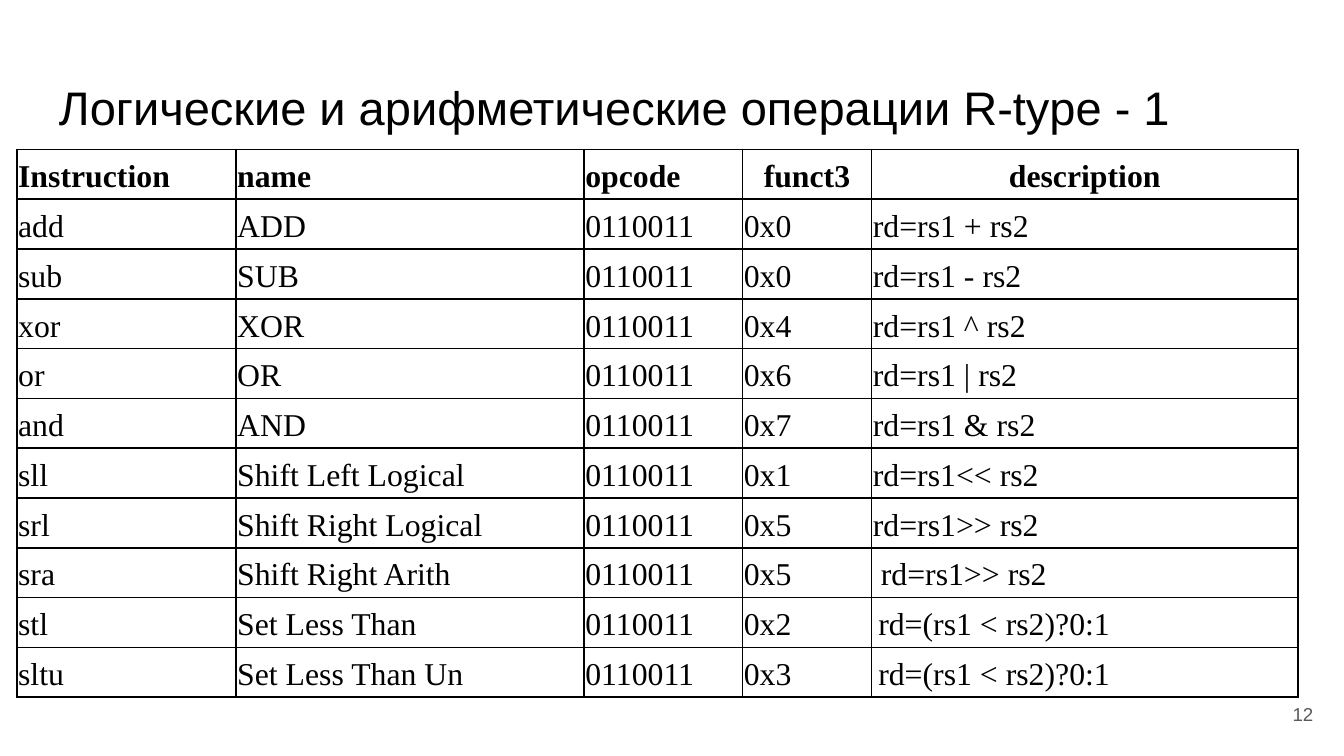
"""Build the slide listing R-type logical and arithmetic operations."""
from lxml import etree
from pptx import Presentation
from pptx import util as u
from pptx.dml.color import RGBColor
from pptx.enum import text
from pptx.oxml import parse_xml

THEME = {
    "ink": "000000", "grey": "595959",
    "sans": "Arial", "serif": "Times New Roman",
    "title": 25.2, "body": 17, "page": 10,
}
NS = "http://schemas.openxmlformats.org/drawingml/2006/main"
ALIGN = text.PP_ALIGN

deck = Presentation()
deck.slide_width = u.Inches(10)
deck.slide_height = deck.slide_width * 9 // 16
COL, ROW = deck.slide_width / 100, deck.slide_height / 100
slide = deck.slides.add_slide(deck.slide_layouts[6])


def style(para, face, size, ink, align, bold=False):
    para.alignment = align
    font = para.font
    font.name, font.size, font.bold = THEME[face], u.Pt(THEME[size]), bold
    font.color.rgb = RGBColor.from_string(THEME[ink])


def label(words, box, size, ink, align, anchor):
    x, y, w, h = box
    frame = slide.shapes.add_textbox(
        int(x * COL), int(y * ROW), int(w * COL), int(h * ROW)).text_frame
    frame.word_wrap = True
    frame.vertical_anchor = anchor
    frame.margin_left = frame.margin_right = u.Inches(0.1)
    frame.margin_top = frame.margin_bottom = u.Inches(0.1)
    frame.text = words
    style(frame.paragraphs[0], "sans", size, ink, align)


label("Логические и арифметические операции R-type - 1",
      (3.4, 8.65, 93.2, 11.2), "title", "ink", ALIGN.LEFT, text.MSO_ANCHOR.TOP)
label("12", (92.7, 90.67, 6, 7.65), "page", "grey", ALIGN.RIGHT,
      text.MSO_ANCHOR.MIDDLE)

HEAD = ("Instruction", "name", "opcode", "funct3", "description")
OPCODE = "0110011"
OPS = [
    ("add", "ADD", "0x0", "rd=rs1 + rs2"),
    ("sub", "SUB", "0x0", "rd=rs1 - rs2"),
    ("xor", "XOR", "0x4", "rd=rs1 ^ rs2"),
    ("or", "OR", "0x6", "rd=rs1 | rs2"),
    ("and", "AND", "0x7", "rd=rs1 & rs2"),
    ("sll", "Shift Left Logical", "0x1", "rd=rs1<< rs2"),
    ("srl", "Shift Right Logical", "0x5", "rd=rs1>> rs2"),
    ("sra", "Shift Right Arith", "0x5", " rd=rs1>> rs2"),
    ("stl", "Set Less Than", "0x2", "rd=(rs1 < rs2)?0:1"),
    ("sltu", "Set Less Than Un", "0x3", "rd=(rs1 < rs2)?0:1"),
]
WIDTHS = (16.3, 25.9, 11.8, 9.6, 31.75)
HIGH = 6.59

rows = [HEAD] + [(op, name, OPCODE, code, rule) for op, name, code, rule in OPS]
grid = slide.shapes.add_table(
    len(rows), len(HEAD), int(1.25 * COL), int(19.77 * ROW),
    int(sum(WIDTHS) * COL), int(len(rows) * HIGH * ROW)).table
grid.first_row = grid.horz_banding = False
for col, wide in zip(grid.columns, WIDTHS):
    col.width = int(wide * COL)

for r, row in enumerate(rows):
    grid.rows[r].height = int(HIGH * ROW)
    for c, words in enumerate(row):
        cell = grid.cell(r, c)
        cell.margin_left = cell.margin_right = u.Inches(0.01)
        cell.margin_top = cell.margin_bottom = u.Pt(0.5)
        cell.text = words
        para = cell.text_frame.paragraphs[0]
        para.line_spacing = 1.25
        if "?" in words:
            para._p.get_or_add_pPr().set("indent", str(u.Inches(0.04)))
        align = ALIGN.CENTER if r == 0 and c > 2 else ALIGN.JUSTIFY
        style(para, "serif", "body", "ink", align, r == 0)
        props = cell._tc.get_or_add_tcPr()
        for side in "LRTB":
            edge = etree.SubElement(props, f"{{{NS}}}ln{side}", w=str(u.Pt(1)))
            edge.append(parse_xml(
                f'<a:solidFill xmlns:a="{NS}">'
                f'<a:srgbClr val="{THEME["ink"]}"/></a:solidFill>'))
        cell.fill.background()

deck.save("out.pptx")
